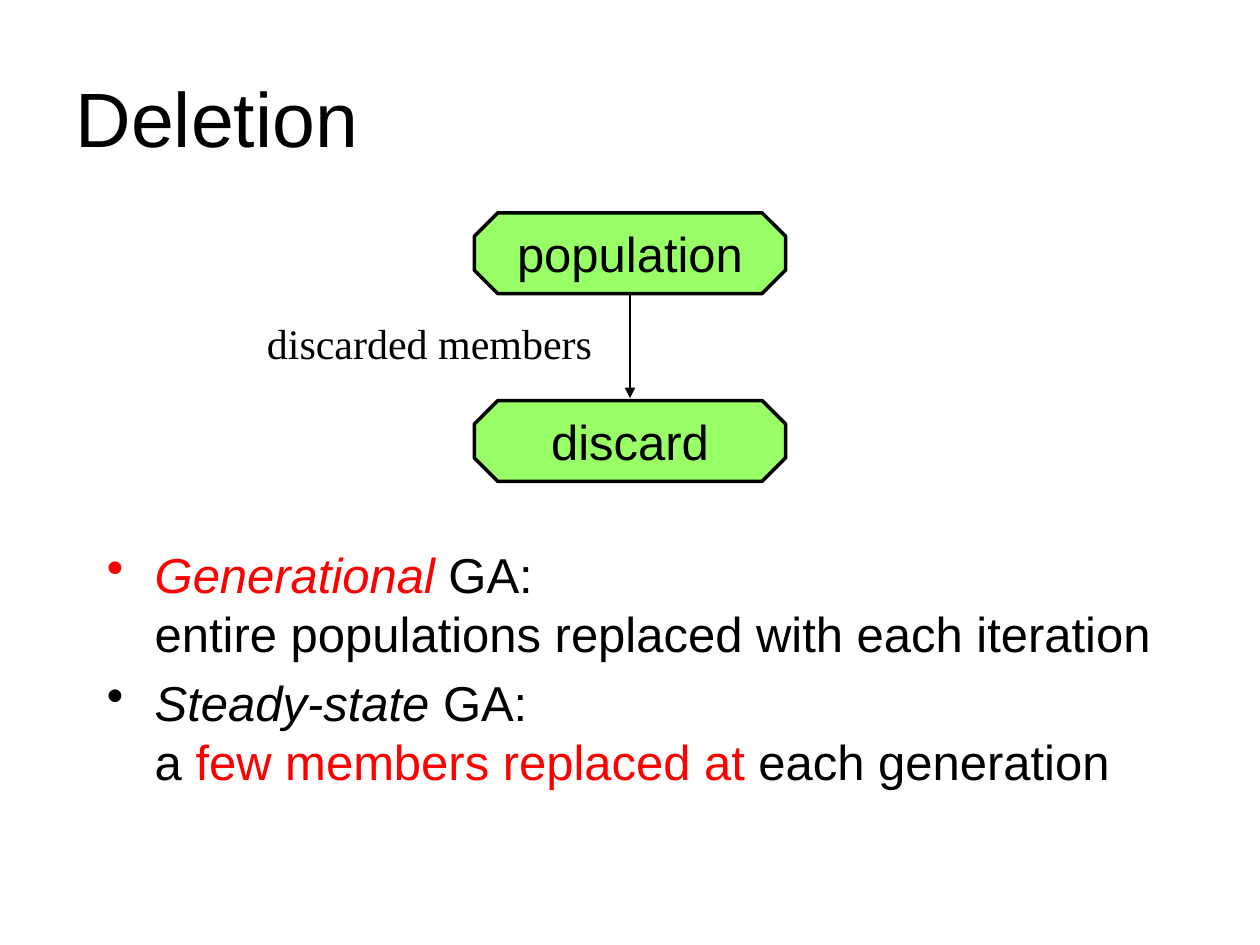
from lxml import etree
from pptx import Presentation
from pptx.dml.color import RGBColor
from pptx.enum.shapes import MSO_CONNECTOR, MSO_SHAPE
from pptx.enum.text import MSO_ANCHOR, PP_ALIGN
from pptx.oxml.ns import qn
from pptx.util import Inches, Pt

STRAIGHT = MSO_CONNECTOR.STRAIGHT
OCTAGON = MSO_SHAPE.OCTAGON
MIDDLE = MSO_ANCHOR.MIDDLE
LEFT, CENTER = PP_ALIGN.LEFT, PP_ALIGN.CENTER

BLACK, RED, GREEN = "000000", "FF0000", "99FF66"
SANS, SERIF = "Arial", "Times New Roman"

# Flow column: two boxes centred on the slide
MID = 5
BOX_W, BOX_H = 2.47, 0.64
TOP, STEP = 1.69, 1.49

# Each bullet: runs of (text, colour, italic); "\n" breaks the line
BULLETS = [
    [("Generational ", RED, True),
     ("GA:\nentire populations replaced with each iteration", BLACK, False)],
    [("Steady-state", BLACK, True),
     (" GA:\na ", BLACK, False),
     ("few members replaced at ", RED, False),
     ("each generation", BLACK, False)],
]


def color(code):
    return RGBColor.from_string(code)


def style(para, size, name=SANS, align=LEFT):
    para.alignment = align
    para.font.size = Pt(size)
    para.font.name = name
    para.font.color.rgb = color(BLACK)


def add_title(slide, text):
    title = slide.shapes.title
    title.left, title.top = Inches(0.5), Inches(0.3)
    title.width, title.height = Inches(9), Inches(1.25)
    title.text_frame.text = text
    title.text_frame.vertical_anchor = MIDDLE
    style(title.text_frame.paragraphs[0], 44)


def add_box(slide, row, text):
    box = slide.shapes.add_shape(
        OCTAGON, Inches(MID - BOX_W / 2), Inches(TOP + row * STEP),
        Inches(BOX_W), Inches(BOX_H))
    box.adjustments[0] = 0.29
    box.shadow.inherit = False
    box.fill.solid()
    box.fill.fore_color.rgb = color(GREEN)
    box.line.color.rgb = color(BLACK)
    box.line.width = Pt(2)
    frame = box.text_frame
    frame.word_wrap = False
    frame.vertical_anchor = MIDDLE
    frame.text = text
    style(frame.paragraphs[0], 28, align=CENTER)


def add_arrow(slide, start, end):
    arrow = slide.shapes.add_connector(
        STRAIGHT, Inches(MID), Inches(start), Inches(MID), Inches(end))
    arrow.line.color.rgb = color(BLACK)
    arrow.line.width = Pt(1)
    etree.SubElement(arrow.line._get_or_add_ln(), qn("a:tailEnd"),
                     type="triangle")
    etree.SubElement(arrow._element.spPr, qn("a:effectLst"))


def add_label(slide, text):
    label = slide.shapes.add_textbox(
        Inches(2.02), Inches(2.47), Inches(2.8), Inches(0.5))
    label.text_frame.word_wrap = False
    label.text_frame.text = text
    style(label.text_frame.paragraphs[0], 24, SERIF)


def add_run(para, text, code, italic):
    for i, part in enumerate(text.split("\n")):
        if i:
            para.add_line_break()
        run = para.add_run()
        run.text = part
        run.font.color.rgb = color(code)
        run.font.italic = italic


def set_bullet(para):
    props = para._p.get_or_add_pPr()
    props.set("marL", str(Inches(0.38)))
    props.set("indent", str(-Inches(0.38)))
    mark = etree.Element(qn("a:buChar"), char="•")
    props.find(qn("a:defRPr")).addprevious(mark)


def add_list(slide, items):
    body = slide.shapes.add_textbox(
        Inches(0.75), Inches(4.27), Inches(8.5), Inches(2.31))
    frame = body.text_frame
    frame.word_wrap = True
    for i, runs in enumerate(items):
        para = frame.add_paragraph() if i else frame.paragraphs[0]
        style(para, 28)
        if i:
            para.space_before = Pt(6)
        set_bullet(para)
        for run in runs:
            add_run(para, *run)


def main():
    deck = Presentation()
    deck.slide_width, deck.slide_height = Inches(10), Inches(7.5)
    slide = deck.slides.add_slide(deck.slide_layouts[5])

    add_title(slide, "Deletion")

    # Flow from population to discard
    for row, text in enumerate(["population", "discard"]):
        add_box(slide, row, text)
    add_arrow(slide, TOP + BOX_H, TOP + STEP - 0.02)
    add_label(slide, "discarded members")

    # Kinds of replacement
    add_list(slide, BULLETS)
    deck.save("out.pptx")


if __name__ == "__main__":
    main()
